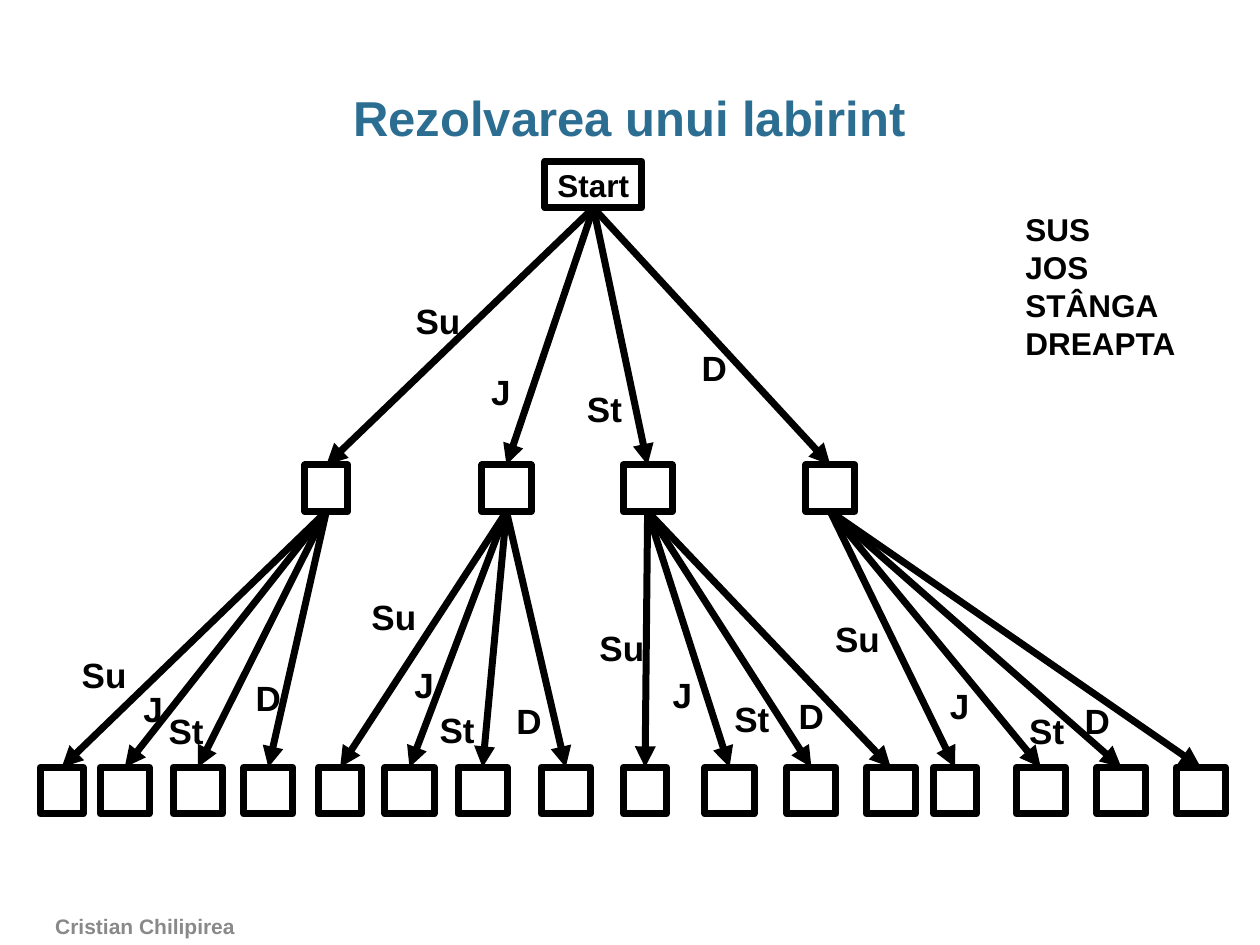
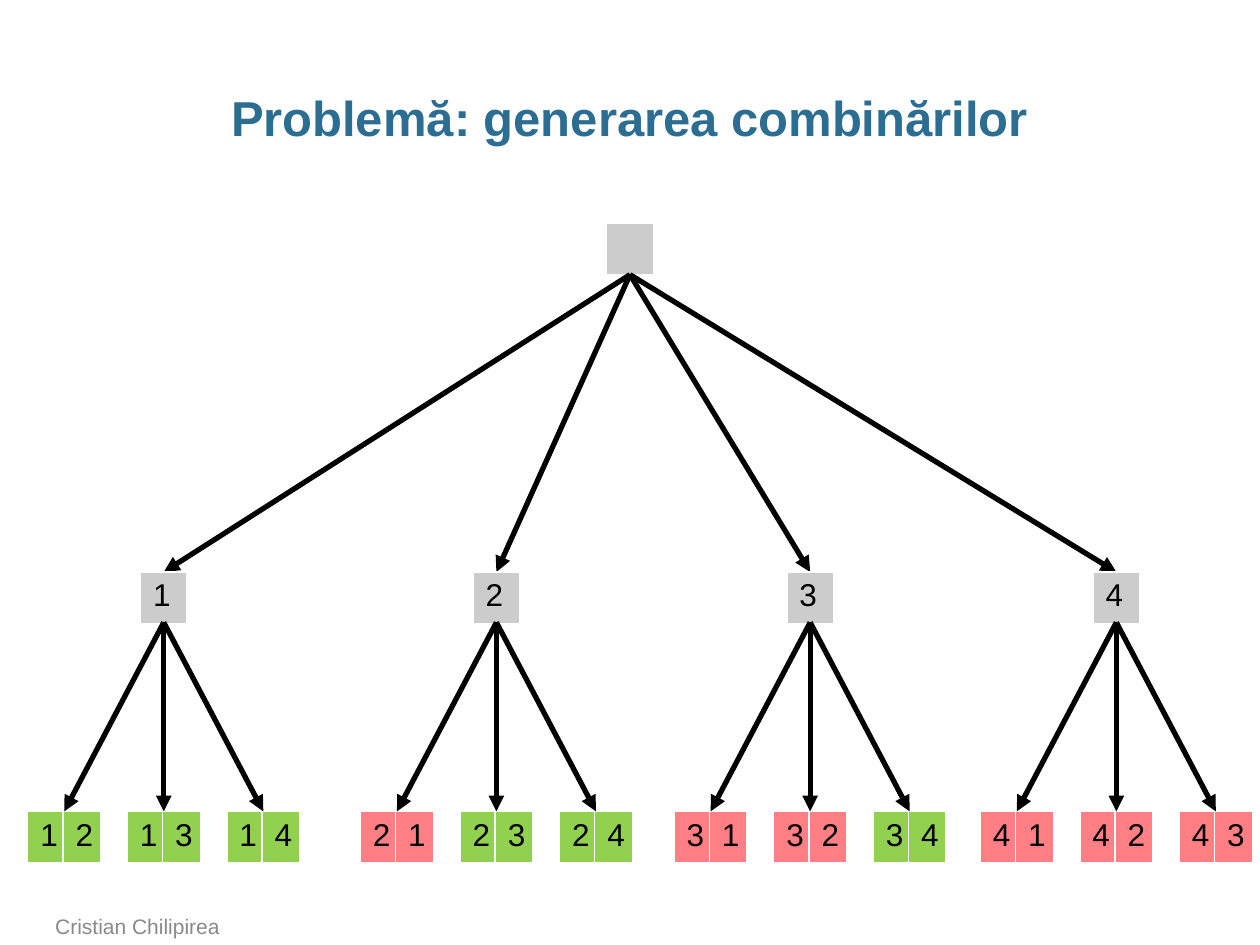
import pptx
import pptx.util
import pptx.dml.color
import pptx.enum.shapes
import pptx.enum.text
import pptx.oxml
import pptx.oxml.ns
from dataclasses import dataclass

Inches = pptx.util.Inches
Pt = pptx.util.Pt
Align = pptx.enum.text.PP_ALIGN
Anchor = pptx.enum.text.MSO_ANCHOR
Fit = pptx.enum.text.MSO_AUTO_SIZE


@dataclass(frozen=True)
class Theme:
    font: str = "Arial"
    ink: str = "000000"
    paper: str = "FFFFFF"
    title: str = "2C6D92"
    foot: str = "898989"
    node: str = "CCCCCC"
    good: str = "92D050"
    bad: str = "FF7F85"
    head: int = 28
    mark: int = 20
    body: int = 18
    small: int = 12


LOOK = Theme()
MOVES = ("Su", "J", "St", "D")
DIGITS = (1, 2, 3, 4)

START = dict(
    kids=(-2.12, -0.69, 0.43, 1.88),
    marks=((-1.51, 0.68), (-0.91, 1.24), (-0.15, 1.38), (0.76, 1.05)),
)
STEPS = (
    dict(
        kids=(-2.1, -1.6, -1.02, -0.46),
        marks=((-2.04, 1.08), (-1.55, 1.35), (-1.35, 1.52), (-0.66, 1.26)),
    ),
    dict(
        kids=(-1.32, -0.77, -0.19, 0.47),
        marks=((-1.17, 0.62), (-0.83, 1.16), (-0.63, 1.51), (-0.02, 1.44)),
    ),
    dict(
        kids=(-0.02, 0.65, 1.3, 1.93),
        marks=((-0.48, 0.86), (0.1, 1.24), (0.59, 1.43), (1.1, 1.4)),
    ),
    dict(
        kids=(0.99, 1.67, 2.31, 2.94),
        marks=((-0.06, 0.79), (0.85, 1.32), (1.48, 1.52), (1.92, 1.44)),
    ),
)


def tint(code):
    return pptx.dml.color.RGBColor.from_string(code)


def write(frame, text, size=LOOK.body, color=LOOK.ink, bold=False,
          align=Align.LEFT, space=None):
    for row, line in enumerate(text.split("\n")):
        para = frame.add_paragraph() if row else frame.paragraphs[0]
        para.alignment = align
        para.line_spacing = space
        run = para.add_run()
        run.text = line
        run.font.name = LOOK.font
        run.font.size = Pt(size)
        run.font.bold = bold
        run.font.color.rgb = tint(color)


def label(slide, box, text, wrap=True, anchor=Anchor.TOP, inset=0.1,
          fit=Fit.NONE, **style):
    frame = slide.shapes.add_textbox(*map(Inches, box)).text_frame
    frame.word_wrap = wrap
    frame.auto_size = fit
    frame.vertical_anchor = anchor
    frame.margin_left = frame.margin_right = Inches(inset)
    write(frame, text, **style)


def page(deck, title, bold=False):
    slide = deck.slides.add_slide(deck.slide_layouts[6])
    label(slide, (0.34, 0.68, 9.31, 0.5), title, inset=0, size=LOOK.head,
          color=LOOK.title, bold=True, align=Align.CENTER, space=0.95)
    label(slide, (0.34, 7.22, 7.37, 0.28), "Cristian Chilipirea",
          anchor=Anchor.BOTTOM, size=LOOK.small, color=LOOK.foot, bold=bold)
    return slide


def arrow(slide, start, end, width):
    link = slide.shapes.add_connector(
        pptx.enum.shapes.MSO_CONNECTOR.STRAIGHT, *map(Inches, start + end))
    link.line.color.rgb = tint(LOOK.ink)
    link.line.width = Pt(width)
    props = link.line._get_or_add_ln()
    pptx.oxml.ns.qn("a:tailEnd")
    tail = pptx.oxml.parse_xml(
        f'<a:tailEnd {pptx.oxml.ns.nsdecls("a")} type="triangle"/>')
    props.append(tail)
    link._element.spPr.append(pptx.oxml.parse_xml(
        f'<a:effectLst {pptx.oxml.ns.nsdecls("a")}/>'))


def square(slide, mid, top, wide, text=""):
    shape = slide.shapes.add_shape(
        pptx.enum.shapes.MSO_SHAPE.RECTANGLE,
        *map(Inches, (mid - wide / 2, top, wide, 0.37)))
    shape.shadow.inherit = False
    shape.fill.background()
    shape.line.color.rgb = tint(LOOK.ink)
    shape.line.width = Pt(4)
    if text:
        frame = shape.text_frame
        frame.word_wrap = False
        frame.vertical_anchor = Anchor.MIDDLE
        write(frame, text, bold=True)


def branch(slide, left, top, drop, kids, marks):
    for move, shift, (right, down) in zip(MOVES, kids, marks):
        arrow(slide, (left, top), (left + shift, top + drop), 4)
        square(slide, left + shift, top + drop, 0.34 if move == "Su" else 0.39)
        label(slide, (left + right, top + down, 0.2 + 0.18 * len(move), 0.44),
              move, wrap=False, fit=Fit.SHAPE_TO_FIT_TEXT, size=LOOK.mark,
              bold=True)


def maze(slide, left, top):
    square(slide, left, top, 0.77, "Start")
    branch(slide, left, top + 0.37, 2.04, **START)
    for shift, step in zip(START["kids"], STEPS):
        branch(slide, left + shift, top + 2.78, 2.03, **step)


def frame_cell(cell):
    props = cell._tc.get_or_add_tcPr()
    for spot, side in enumerate(("lnL", "lnR", "lnT", "lnB")):
        props.insert(spot, pptx.oxml.parse_xml(
            f'<a:{side} {pptx.oxml.ns.nsdecls("a")} w="12700"><a:solidFill>'
            f'<a:srgbClr val="{LOOK.paper}"/></a:solidFill></a:{side}>'))


def tile(slide, mid, top, items, color, widths):
    wide = sum(widths)
    box = map(Inches, (mid - wide / 2, top, wide, 0.41))
    grid = slide.shapes.add_table(1, len(items), *box).table
    grid.first_row = grid.horz_banding = False
    for col, (item, width) in enumerate(zip(items, widths)):
        grid.columns[col].width = Inches(width)
        cell = grid.cell(0, col)
        cell.fill.solid()
        cell.fill.fore_color.rgb = tint(color)
        frame_cell(cell)
        if item:
            write(cell.text_frame, str(item))


def pairs(slide, left, top, digit):
    tile(slide, left, top, [digit], LOOK.node, [0.37])
    rest = [other for other in DIGITS if other != digit]
    for col, other in enumerate(rest):
        mid = left + (col - 1) * 0.79
        color = LOOK.good if other > digit else LOOK.bad
        tile(slide, mid, top + 1.9, [digit, other], color, [0.28, 0.3])
        arrow(slide, (left, top + 0.4), (mid, top + 1.9), 3)


def choose(slide, left, top):
    tile(slide, left, top, [""], LOOK.node, [0.37])
    for digit, shift in zip(DIGITS, (-3.7, -1.06, 1.43, 3.86)):
        arrow(slide, (left, top + 0.41), (left + shift, top + 2.77), 3)
        pairs(slide, left + shift, top + 2.77, digit)


def main():
    deck = pptx.Presentation()
    deck.slide_width, deck.slide_height = Inches(10), Inches(7.5)
    slide = page(deck, "Rezolvarea unui labirint", bold=True)
    maze(slide, 4.71, 1.28)
    label(slide, (8.04, 1.62, 1.68, 1.31), "SUS\nJOS\nSTÂNGA\nDREAPTA",
          fit=Fit.SHAPE_TO_FIT_TEXT, bold=True)
    choose(page(deck, "Problemă: generarea combinărilor"), 5, 1.77)
    deck.save("out.pptx")


if __name__ == "__main__":
    main()
